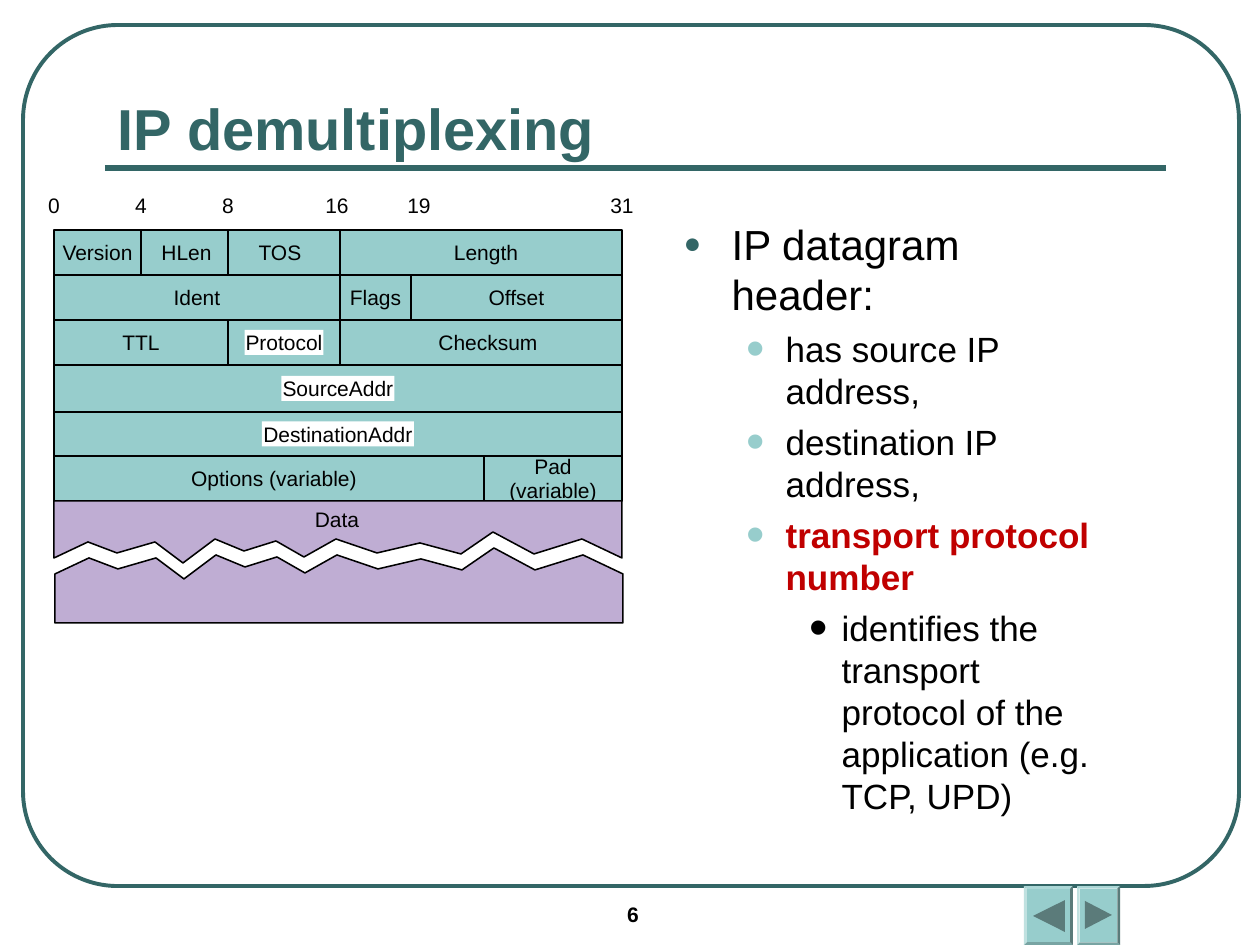
import pptx
import pptx.dml.color
import pptx.enum.shapes
import pptx.enum.text
import pptx.oxml.ns
import pptx.util
from lxml import etree

PX = 914400 / 126  # EMU in one px
FONT = "Arial"
COLORS = {"dark": "336666", "teal": "97CDCC", "violet": "BFADD3", "red": "C00000",
          "arrow": "5B7B7A", "black": "000000", "white": "FFFFFF"}
SHAPES = pptx.enum.shapes.MSO_SHAPE
ALIGN = pptx.enum.text.PP_ALIGN
ANCHOR = pptx.enum.text.MSO_ANCHOR
AUTO_SIZE = pptx.enum.text.MSO_AUTO_SIZE

# Left edges of the header fields by bit number, relative to the diagram
EDGES = {0: 0, 4: 87, 8: 174, 16: 286, 19: 357, 26: 430, 32: 568}
TICKS = {"0": 0, "4": 87, "8": 174, "16": 283, "19": 365, "31": 568}
ROWS = [0, 45, 90, 135, 182, 226, 271]
# Each field: label, first bit, end bit, label width, label fill
FIELDS = [
    [("Version", 0, 4, 72, "teal"), ("HLen", 4, 8, 54, "teal"),
     ("TOS", 8, 16, 46, "teal"), ("Length", 16, 32, 68, "teal")],
    [("Ident", 0, 16, 51, None), ("Flags", 16, 19, 55, "teal"), ("Offset", 19, 32, 60, None)],
    [("TTL", 0, 8, 42, None), ("Protocol", 8, 16, 79, "white"), ("Checksum", 16, 32, 104, "teal")],
    [("SourceAddr", 0, 32, 113, "white")],
    [("DestinationAddr", 0, 32, 152, "white")],
    [("Options (variable)", 0, 26, 170, "teal"), ("Pad\n(variable)", 26, 32, 92, "teal")],
]
# Labels that sit off the centre of their cell
SHIFTS = {"HLen": 2, "TOS": -4, "Length": 5, "Checksum": 7, "Options (variable)": 5}
# Each divider: bit, first row, end row
DIVIDERS = [(16, 0, 3), (8, 0, 1), (4, 0, 1), (19, 1, 2), (8, 2, 3), (26, 5, 6)]
TEAR = [(0, 57), (34, 41), (63, 52), (101, 41), (129, 62), (161, 38), (190, 50), (222, 40),
        (250, 56), (282, 38), (323, 52), (366, 42), (407, 53), (439, 31), (480, 53),
        (528, 38), (568, 57)]

# Each level: size, left margin, indent, space before, bullet, its colour and percentage
LEVELS = [
    (24, 48, 48, 6, "●", "dark", 70),
    (20, 102, 39, 5, "•", "teal", 150),
    (20, 158, 32, 5, "•", "black", 150),
]
BULLETS = [
    (0, "IP datagram header:", {}),
    (1, "has source IP address,", {}),
    (1, "destination IP address,", {}),
    (1, "transport protocol number", {"color": "red", "bold": True}),
    (2, "identifies the transport protocol of the application (e.g. TCP, UPD)", {}),
]


def emu(px):
    return pptx.util.Emu(round(px * PX))


def rgb(name):
    return pptx.dml.color.RGBColor.from_string(COLORS[name])


def paint(shape, fill=None, line=None, width=0.88):
    shape.shadow.inherit = False
    if fill:
        shape.fill.solid()
        shape.fill.fore_color.rgb = rgb(fill)
    else:
        shape.fill.background()
    if line:
        shape.line.color.rgb = rgb(line)
        shape.line.width = pptx.util.Pt(width)
    else:
        shape.line.fill.background()


def write(para, text, size=12, color="black", bold=False, align=ALIGN.LEFT):
    para.alignment = align
    span = para.add_run()
    span.text = text
    span.font.name = FONT
    span.font.size = pptx.util.Pt(size)
    span.font.bold = bold
    span.font.color.rgb = rgb(color)


def add_label(page, text, center, top, width, fill=None, **style):
    """A one-line text box of 25 px height, centred on a given x."""
    box = page.shapes.add_textbox(emu(center - width / 2), emu(top), emu(width), emu(25))
    if fill:
        box.fill.solid()
        box.fill.fore_color.rgb = rgb(fill)
    frame = box.text_frame
    frame.word_wrap = False
    frame.auto_size = AUTO_SIZE.SHAPE_TO_FIT_TEXT
    frame.margin_left = frame.margin_right = frame.margin_top = frame.margin_bottom = 0
    write(frame.paragraphs[0], text, align=ALIGN.CENTER, **style)


def add_line(page, x1, y1, x2, y2, color="black", width=0.88):
    line = page.shapes.add_connector(pptx.enum.shapes.MSO_CONNECTOR.STRAIGHT,
                                     emu(x1), emu(y1), emu(x2), emu(y2))
    line.line.color.rgb = rgb(color)
    line.line.width = pptx.util.Pt(width)
    etree.SubElement(line._element.spPr, pptx.oxml.ns.qn("a:effectLst"))


def add_outline(page, left, top, points, **style):
    corners = [(emu(left + x), emu(top + y)) for x, y in points]
    builder = page.shapes.build_freeform(*corners[0])
    builder.add_line_segments(corners[1:], close=True)
    paint(builder.convert_to_shape(), **style)


def add_frame(page, left, top, width, height):
    border = page.shapes.add_shape(SHAPES.ROUNDED_RECTANGLE, emu(left), emu(top),
                                   emu(width), emu(height))
    border.adjustments[0] = 0.11
    paint(border, line="dark", width=2.25)
    add_line(page, left + 82, top + 143, left + 1143, top + 143, "dark", 3)


def add_button(page, left, top, width, height, arrow):
    button = page.shapes.add_shape(SHAPES.BEVEL, emu(left), emu(top), emu(width), emu(height))
    button.adjustments[0] = 0.06
    paint(button, fill="teal")
    add_outline(page, left, top, arrow, fill="arrow")


def place(shape, left, top, width, height):
    shape.left, shape.top, shape.width, shape.height = map(emu, (left, top, width, height))
    shape.text_frame.word_wrap = True
    shape.text_frame.auto_size = AUTO_SIZE.NONE


def fill_title(title, *box):
    place(title, *box)
    title.text_frame.vertical_anchor = ANCHOR.BOTTOM
    write(title.text_frame.paragraphs[0], "IP demultiplexing", size=33, color="dark", bold=True)


def set_bullet(para, mark, color, percent, margin, indent):
    props = para._p.get_or_add_pPr()
    props.set("marL", str(emu(margin)))
    props.set("indent", str(-emu(indent)))
    tint = etree.SubElement(props, pptx.oxml.ns.qn("a:buClr"))
    etree.SubElement(tint, pptx.oxml.ns.qn("a:srgbClr"), val=COLORS[color])
    etree.SubElement(props, pptx.oxml.ns.qn("a:buSzPct"), val=str(percent * 1000))
    etree.SubElement(props, pptx.oxml.ns.qn("a:buFont"), typeface=FONT)
    etree.SubElement(props, pptx.oxml.ns.qn("a:buChar"), char=mark)


def fill_body(body, *box):
    place(body, *box)
    frame = body.text_frame
    for number, (level, text, style) in enumerate(BULLETS):
        para = frame.add_paragraph() if number else frame.paragraphs[0]
        size, margin, indent, before, mark, color, percent = LEVELS[level]
        para.level = level
        para.space_before = pptx.util.Pt(before)
        write(para, text, size=size, **style)
        set_bullet(para, mark, color, percent, margin, indent)


def add_datagram(page, left, top, width):
    bottom = ROWS[-1]
    add_outline(page, left, top, [(0, 0), (width, 0), (width, bottom), (0, bottom)],
                fill="teal", line="black")
    # Field labels, centred in their cells
    for fields, start, end in zip(FIELDS, ROWS, ROWS[1:]):
        for text, first, last, size, fill in fields:
            lines = text.split("\n")
            middle = left + (EDGES[first] + EDGES[last]) / 2 + SHIFTS.get(text, 0)
            first_top = top + (start + end - 25 * len(lines)) / 2
            for number, line in enumerate(lines):
                add_label(page, line, middle, first_top + 24 * number, size, fill)
    # Grid lines
    for y in ROWS[1:-1]:
        add_line(page, left, top + y, left + width, top + y)
    for bit, start, end in DIVIDERS:
        x = left + EDGES[bit]
        add_line(page, x, top + ROWS[start], x, top + ROWS[end])
    # Bit numbers
    for text, x in TICKS.items():
        add_label(page, text, left + x, top - 37, 14 * len(text))
    # Torn data block
    data = top + bottom
    add_outline(page, left, data, [(width, 0), (0, 0)] + TEAR, fill="violet", line="black")
    add_label(page, "Data", left + width / 2 - 1, data + 6, 50)
    add_outline(page, left + 1, data + 16, [(width, 106), (0, 106)] + TEAR,
                fill="violet", line="black")


def main():
    deck = pptx.Presentation()
    deck.slide_width, deck.slide_height = emu(1260), emu(945)
    page = deck.slides.add_slide(deck.slide_layouts[1])
    add_frame(page, 23, 25, 1216, 861)
    add_button(page, 1024, 886, 49, 59, [(9, 30), (41, 14), (41, 46)])
    add_button(page, 1077, 886, 43, 59, [(8, 15), (35, 29), (8, 43)])
    add_label(page, "6", 633, 902, 14, bold=True)
    fill_title(page.shapes.title, 105, 73, 1061, 95)
    fill_body(page.placeholders[1], 671, 212, 435, 609)
    add_datagram(page, 54, 230, 568)
    deck.save("out.pptx")


if __name__ == "__main__":
    main()
